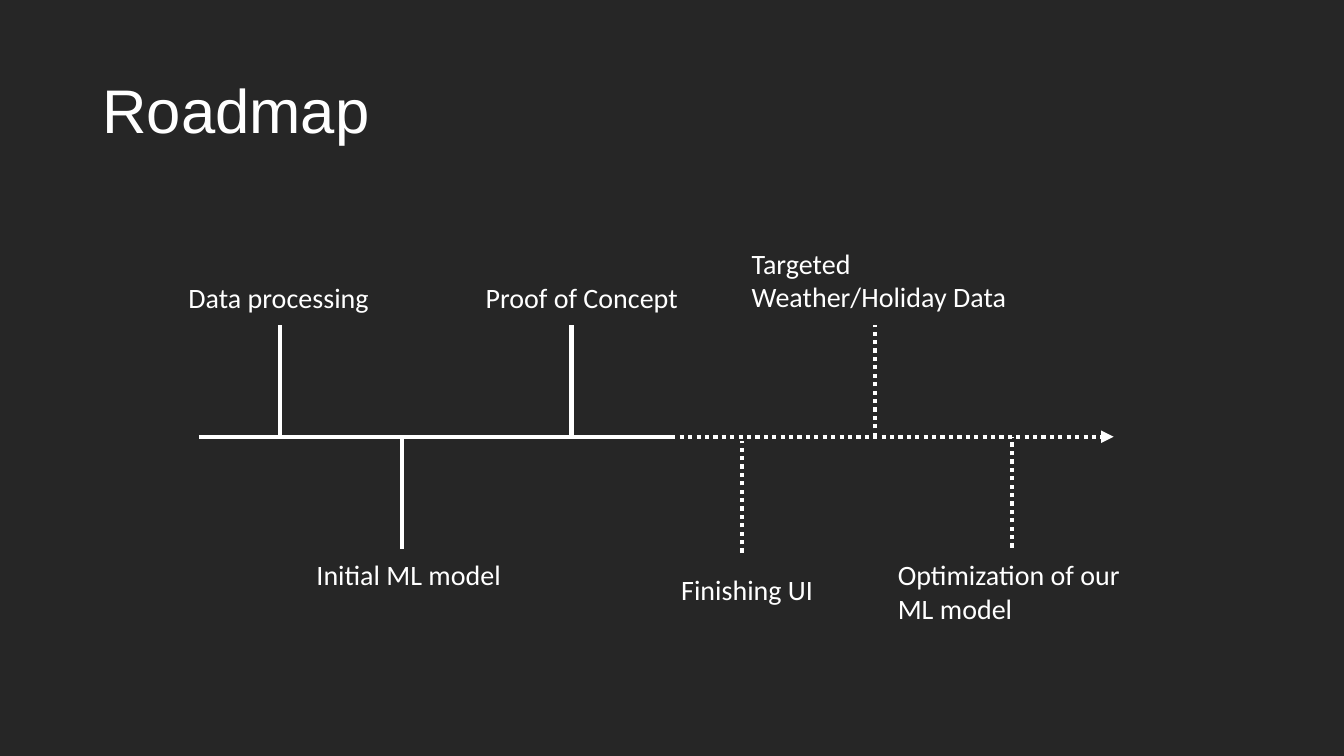
from lxml import etree
from pptx import Presentation
from pptx.dml.color import RGBColor
from pptx.enum.dml import MSO_LINE
from pptx.enum.shapes import MSO_CONNECTOR
from pptx.enum.text import MSO_ANCHOR, MSO_AUTO_SIZE, PP_ALIGN
from pptx.oxml.ns import qn
from pptx.util import Pt

BACKGROUND = RGBColor(0x26, 0x26, 0x26)
WHITE = RGBColor(0xFF, 0xFF, 0xFF)
DOTTED = MSO_LINE.ROUND_DOT
STRAIGHT = MSO_CONNECTOR.STRAIGHT
TITLE_ONLY = 5

AXIS_Y = 312
AXIS_START, TODAY, AXIS_END = 142, 479.5, 795.5

# label, stem x, stem start y, stem end y, label left, top, width, height
MILESTONES = [
    ("Data processing", 200, AXIS_Y, 232, 127.5, 196.7, 178, 31.5),
    ("Initial ML model", 287.3, 392, AXIS_Y, 219, 394.6, 161, 31.5),
    ("Proof of Concept", 408.2, AXIS_Y, 232, 339.8, 197, 161, 31.5),
    ("Finishing UI", 530, 394.8, 315, 479.5, 405.4, 132.5, 31.5),
    ("Targeted Weather/Holiday Data", 625, AXIS_Y, 232.5, 529.8, 172.2, 208, 55.5),
    ("Optimization of our ML model", 723, 391.2, AXIS_Y, 634.2, 394.6, 193, 55.5),
]


def format_text(frame, font_name, size):
    for span in frame.paragraphs[0].runs:
        span.font.name = font_name
        span.font.size = Pt(size)
        span.font.color.rgb = WHITE


def add_line(page, x1, y1, x2, y2, dotted):
    line = page.shapes.add_connector(STRAIGHT, Pt(x1), Pt(y1), Pt(x2), Pt(y2))
    line.line.color.rgb = WHITE
    line.line.width = Pt(3)
    if dotted:
        line.line.dash_style = DOTTED
    etree.SubElement(line._element.spPr, qn("a:effectLst"))
    return line


deck = Presentation()
deck.slide_width, deck.slide_height = Pt(960), Pt(540)
page = deck.slides.add_slide(deck.slide_layouts[TITLE_ONLY])
page.background.fill.solid()
page.background.fill.fore_color.rgb = BACKGROUND

title = page.shapes.title
title.left, title.top, title.width, title.height = Pt(66), Pt(28.75), Pt(828), Pt(104.4)
title.text_frame.text = "Roadmap"
title.text_frame.auto_size = MSO_AUTO_SIZE.NONE
title.text_frame.vertical_anchor = MSO_ANCHOR.MIDDLE
title.text_frame.paragraphs[0].alignment = PP_ALIGN.LEFT
title.text_frame.paragraphs[0].line_spacing = 0.9
format_text(title.text_frame, "Arial", 44)

add_line(page, AXIS_START, AXIS_Y, TODAY, AXIS_Y, dotted=False)
future = add_line(page, TODAY, AXIS_Y, AXIS_END, AXIS_Y, dotted=True)
etree.SubElement(future.line._get_or_add_ln(), qn("a:tailEnd"), type="triangle")

for label, stem_x, start_y, end_y, left, top, width, height in MILESTONES:
    add_line(page, stem_x, start_y, stem_x, end_y, dotted=stem_x > TODAY)
    box = page.shapes.add_textbox(Pt(left), Pt(top), Pt(width), Pt(height))
    box.text_frame.word_wrap = True
    box.text_frame.auto_size = MSO_AUTO_SIZE.SHAPE_TO_FIT_TEXT
    box.text_frame.text = label
    format_text(box.text_frame, "Calibri", 20)

deck.save("out.pptx")
